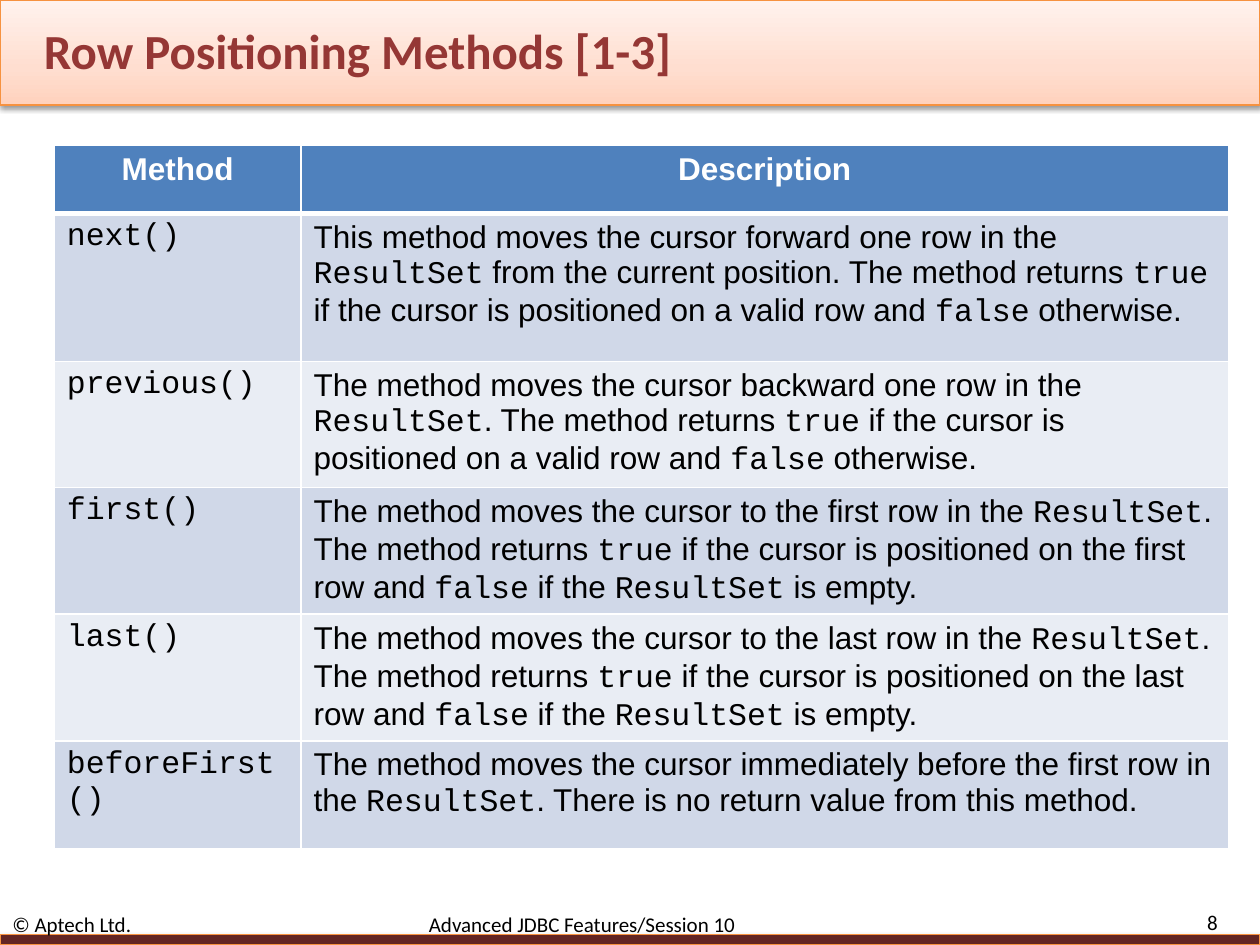
from lxml.etree import SubElement
from pptx import Presentation
from pptx.dml.color import RGBColor
from pptx.enum.shapes import MSO_SHAPE
from pptx.enum.text import MSO_ANCHOR, PP_ALIGN
from pptx.oxml.ns import qn
from pptx.util import Pt

WHITE = RGBColor(0xFF, 0xFF, 0xFF)
BLACK = RGBColor(0, 0, 0)
ORANGE = RGBColor(0xF6, 0x92, 0x40)
MAROON = RGBColor(0x63, 0x25, 0x23)
RED = RGBColor(0x95, 0x37, 0x35)
BLUE = RGBColor(0x4F, 0x81, 0xBD)
BANDS = [RGBColor(0xD0, 0xD8, 0xE8), RGBColor(0xE9, 0xED, 0xF4)]
PEACH = [(0, "FFD2BD"), (35, "FFDED0"), (100, "FFF2ED")]

prs = Presentation()
prs.slide_width, prs.slide_height = Pt(720), Pt(540)
slide = prs.slides.add_slide(prs.slide_layouts[6])


def write(frame, text, size=18, font="Arial", color=BLACK, bold=False,
          align=PP_ALIGN.LEFT, tab=None):
    """Fill a text frame; words between backticks are set as code."""
    frame.word_wrap = True
    par = frame.paragraphs[0]
    par.alignment = align
    if tab:
        tabs = SubElement(par._p.get_or_add_pPr(), qn("a:tabLst"))
        SubElement(tabs, qn("a:tab"), pos=str(Pt(tab)), algn="l")
    for i, part in enumerate(text.split("`")):
        if part:
            run = par.add_run()
            run.text = part
            run.font.name = "Courier New" if i % 2 else font
            run.font.size = Pt(size)
            run.font.bold = bold
            run.font.color.rgb = color


def add_bar(top, height, alpha, dist):
    """Add a full-width bar with an orange line and a soft shadow."""
    bar = slide.shapes.add_shape(MSO_SHAPE.RECTANGLE, 0, Pt(top), Pt(720), Pt(height))
    bar.line.color.rgb = ORANGE
    bar.line.width = Pt(0.75)
    bar.shadow.inherit = False
    glow = SubElement(bar._element.spPr.find(qn("a:effectLst")), qn("a:outerShdw"),
                      blurRad=str(Pt(3.1)), dist=str(Pt(dist)), dir="5400000",
                      rotWithShape="0")
    tint = SubElement(glow, qn("a:srgbClr"), val="000000")
    SubElement(tint, qn("a:alpha"), val=str(alpha * 1000))
    return bar


# Header bar with three-stop gradient, footer bar
head = add_bar(0, 60, 38, 1.6)
head.fill.gradient()
head.fill.gradient_angle = 90
stops = head._element.spPr.find(qn("a:gradFill")).find(qn("a:gsLst"))
for old in list(stops):
    stops.remove(old)
for pos, shade in PEACH:
    stop = SubElement(stops, qn("a:gs"), pos=str(pos * 1000))
    SubElement(stop, qn("a:srgbClr"), val=shade)

foot = add_bar(534, 6, 35, 1.8)
foot.fill.solid()
foot.fill.fore_color.rgb = MAROON

# Title, footer and page number
labels = [
    ((18, 12, 600, 33), "Row Positioning Methods [1-3]",
     dict(size=28, color=RED, bold=True)),
    ((0, 522, 636, 12), "© Aptech Ltd.\tAdvanced JDBC Features/Session 10",
     dict(size=12, tab=238)),
    ((642, 520.5, 61, 13), "8", dict(size=12, align=PP_ALIGN.RIGHT)),
]
for spot, text, look in labels:
    box = slide.shapes.add_textbox(*[Pt(v) for v in spot])
    box.text_frame.vertical_anchor = MSO_ANCHOR.MIDDLE
    write(box.text_frame, text, font="Calibri", **look)

# Method table
rows = [
    (39, "Method", "Description"),
    (84.5, "`next()`",
     "This method moves the cursor forward one row in the `ResultSet` from the current "
     "position. The method returns `true` if the cursor is positioned on a valid row "
     "and `false` otherwise."),
    (71, "`previous()`",
     "The method moves the cursor backward one row in the `ResultSet`. The method "
     "returns `true` if the cursor is positioned on a valid row and `false` otherwise."),
    (72.5, "`first()`",
     "The method moves the cursor to the first row in the `ResultSet`. The method "
     "returns `true` if the cursor is positioned on the first row and `false` if the "
     "`ResultSet` is empty."),
    (72.5, "`last()`",
     "The method moves the cursor to the last row in the `ResultSet`. The method "
     "returns `true` if the cursor is positioned on the last row and `false` if the "
     "`ResultSet` is empty."),
    (61.5, "`beforeFirst()`",
     "The method moves the cursor immediately before the first row in the `ResultSet`. "
     "There is no return value from this method."),
]
tall = sum(row[0] for row in rows)
grid = slide.shapes.add_table(len(rows), 2, Pt(31), Pt(83), Pt(671), Pt(tall)).table
grid.columns[0].width, grid.columns[1].width = Pt(141), Pt(530)

for r, (height, *texts) in enumerate(rows):
    grid.rows[r].height = Pt(height)
    for c, text in enumerate(texts):
        cell = grid.cell(r, c)
        # White borders, thick below the header
        for side in "LRTB":
            thick = (r, side) in [(0, "B"), (1, "T")]
            edge = SubElement(cell._tc.get_or_add_tcPr(), qn("a:ln" + side),
                              w=str(Pt(3 if thick else 1)))
            paint = SubElement(edge, qn("a:solidFill"))
            SubElement(paint, qn("a:srgbClr"), val=str(WHITE))
        cell.fill.solid()
        if r == 0:
            cell.fill.fore_color.rgb = BLUE
            write(cell.text_frame, text, color=WHITE, bold=True, align=PP_ALIGN.CENTER)
        else:
            cell.fill.fore_color.rgb = BANDS[(r - 1) % 2]
            write(cell.text_frame, text)

prs.save("out.pptx")
